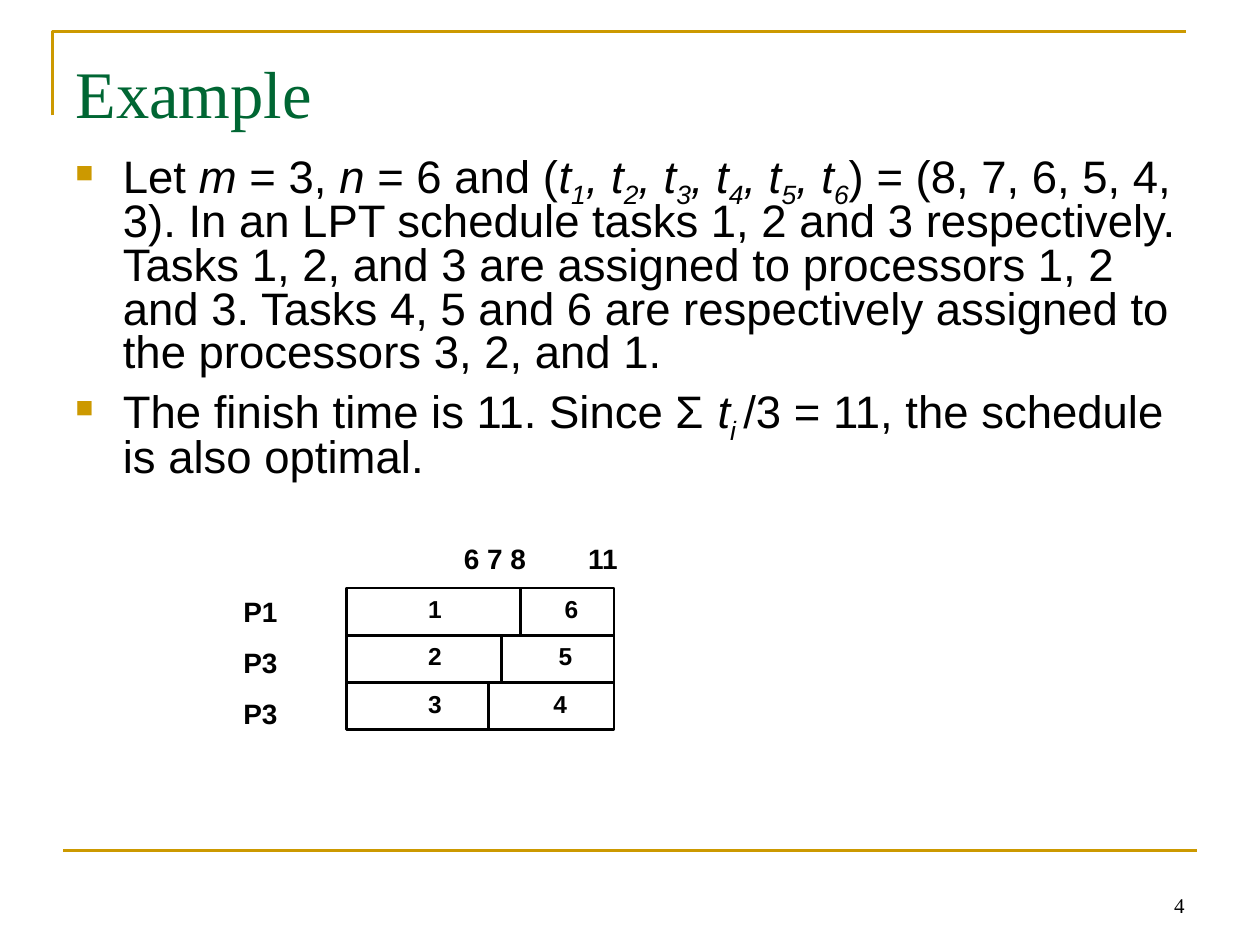
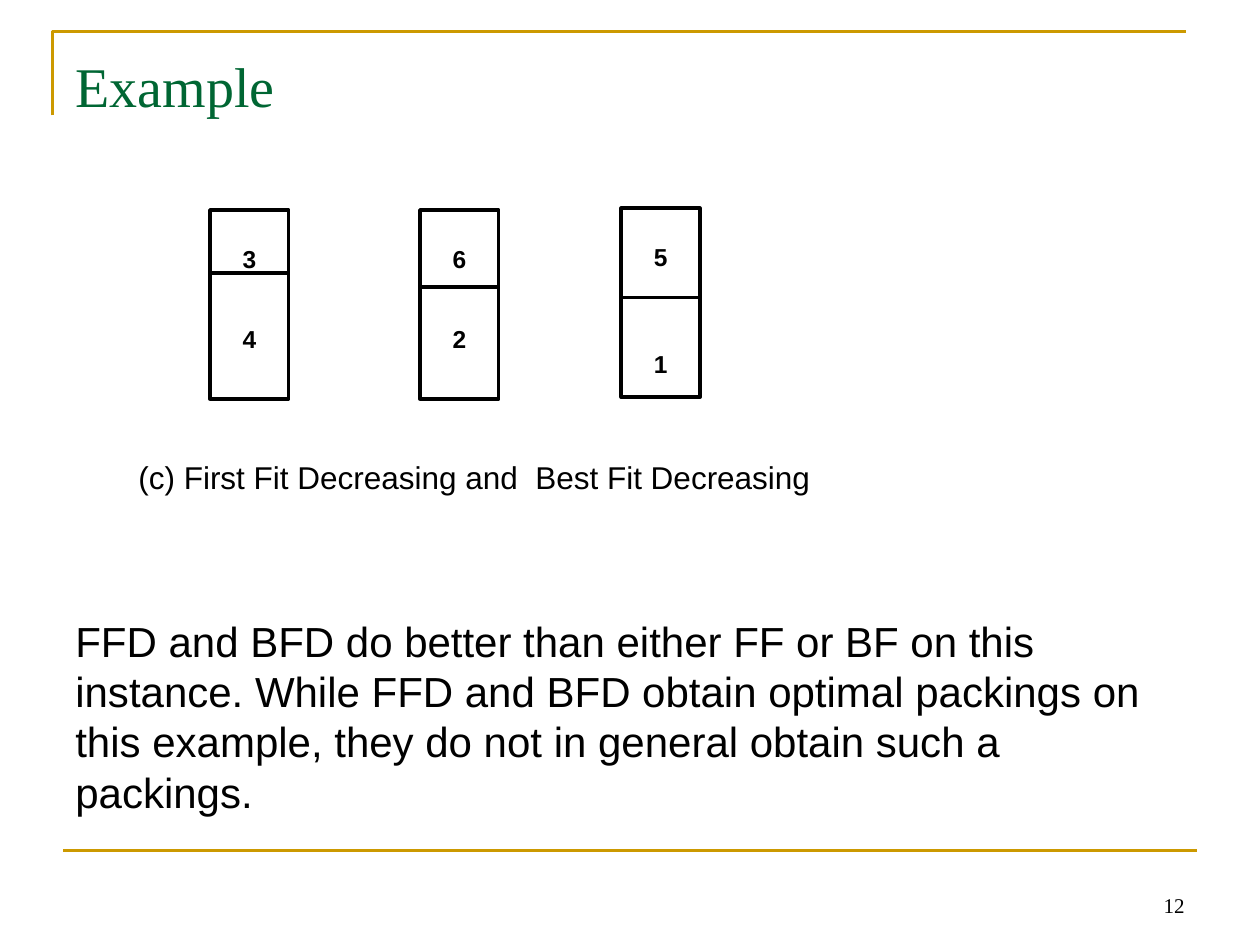
from dataclasses import dataclass

from lxml.etree import SubElement
from pptx import Presentation
from pptx.dml.color import RGBColor
from pptx.enum.shapes import MSO_CONNECTOR, MSO_SHAPE
from pptx.enum.text import MSO_ANCHOR, MSO_AUTO_SIZE, PP_ALIGN
from pptx.oxml.ns import qn
from pptx.util import Pt


@dataclass(frozen=True)
class Theme:
    ink: RGBColor = RGBColor(0, 0, 0)
    paper: RGBColor = RGBColor(255, 255, 255)
    gold: RGBColor = RGBColor(0xCC, 0x99, 0x00)
    green: RGBColor = RGBColor(0x00, 0x66, 0x33)
    sans: str = "Arial"
    serif: str = "Times New Roman"
    bullets: int = 26
    statement: int = 24
    caption: int = 18
    axis: int = 16
    block: int = 14
    footer: int = 12
    thin: float = 1.5
    thick: float = 2


class Deck:
    def __init__(self, theme):
        self.theme = theme
        self.presentation = Presentation()
        self.presentation.slide_width = Pt(720)
        self.presentation.slide_height = Pt(540)
        self.slide = None

    def start(self, layout, number, title_size, title_height):
        self.slide = self.presentation.slides.add_slide(
            self.presentation.slide_layouts[layout])
        self.frame()
        self.title("Example", title_size, title_height)
        self.text(["%d" % number], (516, 492, 168, 36), self.theme.footer,
                  font=self.theme.serif, align=PP_ALIGN.RIGHT,
                  anchor=MSO_ANCHOR.BOTTOM)

    def frame(self):
        builder = self.slide.shapes.build_freeform(Pt(30), Pt(66))
        builder.add_line_segments(
            [(Pt(30), Pt(18)), (Pt(678), Pt(18))], close=False)
        corner = builder.convert_to_shape()
        corner.shadow.inherit = False
        corner.fill.background()
        self.outline(corner, self.theme.gold, self.theme.thin)
        self.line((36, 486), (684, 486), self.theme.gold, self.theme.thin)

    def title(self, words, size, height):
        heading = self.slide.shapes.title
        self.place(heading, (36, 21.6, 648, height))
        self.prepare(heading.text_frame, top=8)
        self.add_runs(heading.text_frame.paragraphs[0], [(words, "")], size,
                      self.theme.serif, self.theme.green)

    def bullets(self, items, box):
        body = self.slide.placeholders[1]
        self.place(body, box)
        self.prepare(body.text_frame)
        for paragraph, runs in zip(self.lines(body.text_frame, len(items)), items):
            paragraph.line_spacing = 0.8
            paragraph.space_before = Pt(6.5)
            self.bullet(paragraph)
            self.add_runs(paragraph, runs, self.theme.bullets)

    def bullet(self, paragraph):
        properties = paragraph._p.get_or_add_pPr()
        properties.set("marL", str(Pt(27)))
        properties.set("indent", str(Pt(-27)))
        color = SubElement(properties, qn("a:buClr"))
        SubElement(color, qn("a:srgbClr"), val=str(self.theme.gold))
        SubElement(properties, qn("a:buSzPct"), val="65000")
        SubElement(properties, qn("a:buFont"), typeface=self.theme.sans)
        SubElement(properties, qn("a:buChar"), char="■")

    def text(self, lines, box, size, style="", gap=0, font=None, tabs=(),
             align=PP_ALIGN.LEFT, anchor=MSO_ANCHOR.TOP):
        area = self.slide.shapes.add_textbox(*map(Pt, box))
        self.fill_text(area, lines, size, style, gap, font, tabs, align, anchor)

    def block(self, lines, box, weight, gap=0, tabs=(), align=PP_ALIGN.LEFT, top=3.6):
        area = self.slide.shapes.add_shape(MSO_SHAPE.RECTANGLE, *map(Pt, box))
        area.shadow.inherit = False
        area.fill.solid()
        area.fill.fore_color.rgb = self.theme.paper
        self.outline(area, self.theme.ink, weight)
        self.fill_text(area, lines, self.theme.block, "b", gap, None, tabs,
                       align, MSO_ANCHOR.TOP, top)

    def fill_text(self, area, lines, size, style, gap, font, tabs, align,
                  anchor, top=3.6):
        self.prepare(area.text_frame, anchor, top)
        for paragraph, words in zip(self.lines(area.text_frame, len(lines)), lines):
            paragraph.space_before = Pt(gap)
            self.tab_stops(paragraph, tabs)
            self.add_runs(paragraph, [(words, style)], size, font, align=align)

    def tab_stops(self, paragraph, tabs):
        if tabs:
            stops = SubElement(paragraph._p.get_or_add_pPr(), qn("a:tabLst"))
            for position, kind in tabs:
                SubElement(stops, qn("a:tab"), pos=str(Pt(position)), algn=kind)

    def line(self, start, end, color, weight):
        connector = self.slide.shapes.add_connector(
            MSO_CONNECTOR.STRAIGHT, *map(Pt, start + end))
        self.outline(connector, color, weight)
        SubElement(connector._element.spPr, qn("a:effectLst"))

    def outline(self, shape, color, weight):
        shape.line.color.rgb = color
        shape.line.width = Pt(weight)

    def place(self, shape, box):
        shape.left, shape.top, shape.width, shape.height = map(Pt, box)

    def prepare(self, frame, anchor=MSO_ANCHOR.TOP, top=3.6):
        frame.word_wrap = True
        frame.auto_size = MSO_AUTO_SIZE.NONE
        frame.vertical_anchor = anchor
        frame.margin_left = frame.margin_right = Pt(7.2)
        frame.margin_top, frame.margin_bottom = Pt(top), Pt(3.6)

    def lines(self, frame, count):
        for _ in range(count - 1):
            frame.add_paragraph()
        return frame.paragraphs

    def add_runs(self, paragraph, runs, size, font=None, color=None,
                 align=PP_ALIGN.LEFT):
        paragraph.alignment = align
        for words, style in runs:
            run = paragraph.add_run()
            run.text = words
            run.font.name = font or self.theme.sans
            run.font.size = Pt(size)
            run.font.color.rgb = color or self.theme.ink
            run.font.bold = "b" in style
            run.font.italic = "i" in style
            if "s" in style:
                run._r.get_or_add_rPr().set("baseline", "-25000")


def schedule_slide(deck):
    theme = deck.theme
    deck.start(1, 4, title_size=38, title_height=56)
    times = []
    for task in range(1, 7):
        times += [("t" if task == 1 else ", t", "i"), (str(task), "is")]
    deck.bullets([
        [("Let ", ""), ("m", "i"), (" = 3, ", ""), ("n", "i"), (" = 6 and (", ""),
         *times,
         (") = (8, 7, 6, 5, 4, 3). In an LPT schedule tasks 1, 2 and 3 "
          "respectively. Tasks 1, 2, and 3 are assigned to processors 1, 2 and 3. "
          "Tasks 4, 5 and 6 are respectively assigned to the processors "
          "3, 2, and 1.", "")],
        [("The finish time is 11. Since Σ ", ""), ("t", "i"), ("i ", "is"),
         ("/3 = 11, the schedule is also optimal.", "")],
    ], (36, 84, 648, 198))

    left, top, width, height = 198, 336, 153, 27
    processors = [("1", "6", 99.5, 121.5), ("2", "5", 88.5, 118), ("3", "4", 81, 115)]
    for row, (first, second, split, second_center) in enumerate(processors):
        y = top + row * height
        deck.block([f"\t{first}\t{second}"], (left, y, width, height), theme.thin,
                   tabs=[(43.5, "ctr"), (second_center, "ctr")])
        deck.line((left + split, y), (left + split, y + height),
                  theme.ink, theme.thin)
    deck.text(["P1", "P3", "P3"], (132, 336, 54, 85), theme.axis, "b", gap=10)
    deck.text(["\t6 7 8\t11"], (198, 306, 180, 29), theme.axis, "b",
              tabs=[(60, "l"), (131, "l")])


def packing_slide(deck):
    theme = deck.theme
    deck.start(5, 12, title_size=32, title_height=50)
    bins = [("3", "4", 120, 120, 36, 29), ("6", "2", 240, 120, 44, 29),
            ("5", "1", 355, 119, 51, 44)]
    for upper, lower, left, top, split, gap in bins:
        deck.block([upper, lower], (left, top, 45, 108), theme.thick, gap=gap,
                   align=PP_ALIGN.CENTER, top=19.5)
        deck.line((left, top + split), (left + 45, top + split),
                  theme.ink, theme.thick)
    deck.text(["(c) First Fit Decreasing and  Best Fit Decreasing"],
              (72, 258, 444, 29), theme.caption)
    deck.text(["FFD and BFD do better than either FF or BF on this instance. "
               "While FFD and BFD obtain optimal packings on this example, "
               "they do not in general obtain such a packings."],
              (36, 348, 648, 122), theme.statement)


def main():
    deck = Deck(Theme())
    schedule_slide(deck)
    packing_slide(deck)
    deck.presentation.save("out.pptx")


if __name__ == "__main__":
    main()
